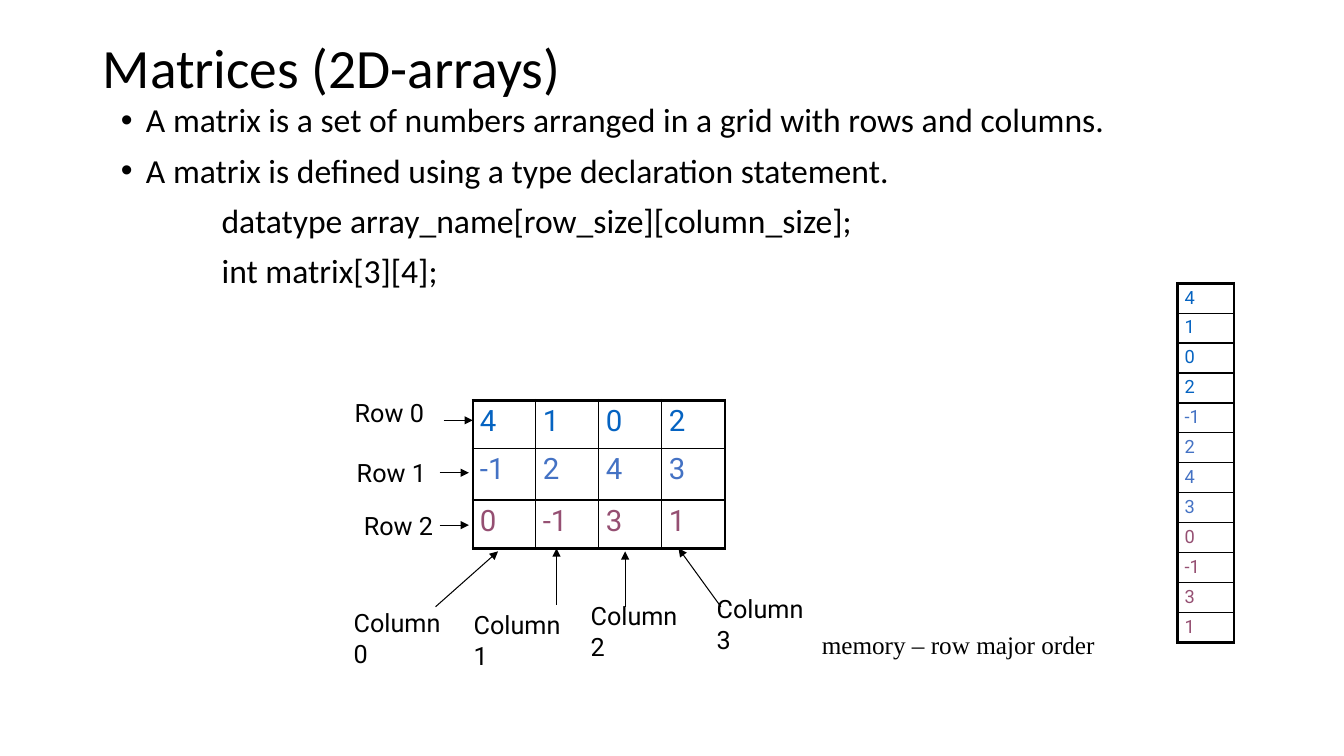
from lxml import etree
from pptx import Presentation
from pptx.dml.color import RGBColor
from pptx.enum import shapes, text
from pptx.oxml import ns
from pptx.util import Inches, Pt

THEME = {
    "black": "000000",
    "rows": ["0563C1", "4472C4", "954F72"],
    "body_font": "Calibri", "label_font": "Roboto", "caption_font": "Times New Roman",
    "title": 39.6, "body": 24, "label": 18, "matrix": 21, "memory": 13,
    "thin": 1, "thick": 2.25, "arrow": 0.75,
}

TITLE = "Matrices (2D-arrays)"
BULLETS = [
    "A matrix is a set of numbers arranged in a grid with rows and columns.",
    "A matrix is defined using a type declaration statement.",
]
CODE = ["datatype array_name[row_size][column_size];", "int matrix[3][4];"]
CAPTION = " memory – row major order"
MATRIX = [[4, 1, 0, 2], [-1, 2, 4, 3], [0, -1, 3, 1]]

ROW_LABELS = [(3.42, 3.89, 0.9), (3.44, 4.49, 0.9), (3.51, 5.01, 0.9)]
COLUMN_LABELS = [(3.41, 5.98, 1.2), (4.6, 6, 1.2), (5.76, 5.91, 1.2), (7.01, 5.84, 1.2)]
LABEL_HEIGHT = 0.4
ROW_ARROWS = [(4.4, 4.17), (4.36, 4.69), (4.36, 5.21)]
ROW_ARROW_LENGTH = 0.29
COLUMN_ARROWS = [
    ((4.32, 6.02), (4.94, 5.47)),
    ((5.52, 6), (5.52, 5.44)),
    ((6.2, 6.02), (6.2, 5.47)),
    ((7.15, 6.02), (6.73, 5.44)),
]


def style_font(paragraph, size, name, color=THEME["black"]):
    paragraph.font.size = Pt(size)
    paragraph.font.name = name
    paragraph.font.color.rgb = RGBColor.from_string(color)


def add_text(slide, box, lines, size, font, wrap=True):
    shape = slide.shapes.add_textbox(*map(Inches, box))
    frame = shape.text_frame
    frame.word_wrap = wrap
    frame.text = "\n".join(lines)
    for paragraph in frame.paragraphs:
        style_font(paragraph, size, font)
    return frame


def indent(paragraph, margin, first_line, bullet=None):
    properties = paragraph._p.get_or_add_pPr()
    properties.set("marL", str(Inches(margin)))
    properties.set("indent", str(Inches(first_line)))
    if bullet:
        etree.SubElement(properties, ns.qn("a:buFont")).set("typeface", "Arial")
        etree.SubElement(properties, ns.qn("a:buChar")).set("char", bullet)


def add_body(slide):
    frame = add_text(slide, (1.1, 0.98, 10.3, 5.72), BULLETS + CODE,
                     THEME["body"], THEME["body_font"])
    for index, paragraph in enumerate(frame.paragraphs):
        paragraph.line_spacing = 0.9
        paragraph.space_before = Pt(10)
        if index < len(BULLETS):
            indent(paragraph, 0.25, -0.25, "•")
        else:
            paragraph.level = 1
            indent(paragraph, 1, 0)


def add_arrow(slide, start, end):
    arrow = slide.shapes.add_connector(
        shapes.MSO_CONNECTOR.STRAIGHT, *map(Inches, start + end))
    arrow.line.color.rgb = RGBColor.from_string(THEME["black"])
    arrow.line.width = Pt(THEME["arrow"])
    etree.SubElement(arrow.line._get_or_add_ln(), ns.qn("a:tailEnd")).set("type", "triangle")
    etree.SubElement(arrow._element.spPr, ns.qn("a:effectLst"))


def set_borders(cell, outer_sides):
    """Draw thick lines on the outer sides and thin ones on the rest."""
    properties = cell._tc.get_or_add_tcPr()
    for position, side in enumerate("LRTB"):
        width = THEME["thick" if side in outer_sides else "thin"]
        line = etree.Element(ns.qn(f"a:ln{side}"), w=str(Pt(width)))
        fill = etree.SubElement(line, ns.qn("a:solidFill"))
        etree.SubElement(fill, ns.qn("a:srgbClr")).set("val", THEME["black"])
        properties.insert(position, line)


def add_grid(slide, box, values, row_heights, row_colors, size):
    row_count, column_count = len(values), len(values[0])
    table = slide.shapes.add_table(row_count, column_count, *map(Inches, box)).table
    table.first_row = table.horz_banding = False
    for row, height in zip(table.rows, row_heights):
        row.height = Inches(height)
    for r, row_values in enumerate(values):
        for c, value in enumerate(row_values):
            cell = table.cell(r, c)
            cell.text = str(value)
            cell.margin_left = cell.margin_right = Inches(0.07)
            cell.margin_top = cell.margin_bottom = Inches(0.04)
            cell.fill.background()
            style_font(cell.text_frame.paragraphs[0], size, THEME["label_font"], row_colors[r])
            edges = {"L": c == 0, "R": c == column_count - 1,
                     "T": r == 0, "B": r == row_count - 1}
            set_borders(cell, [side for side, outer in edges.items() if outer])


def add_labels(slide, word, places, wrap):
    for index, (left, top, width) in enumerate(places):
        add_text(slide, (left, top, width, LABEL_HEIGHT), [f"{word} {index}"],
                 THEME["label"], THEME["label_font"], wrap)


def main():
    presentation = Presentation()
    presentation.slide_width, presentation.slide_height = Inches(13.33), Inches(7.5)
    slide = presentation.slides.add_slide(presentation.slide_layouts[6])

    title = add_text(slide, (0.92, 0.4, 11.5, 0.59), [TITLE], THEME["title"], THEME["body_font"])
    title.vertical_anchor = text.MSO_ANCHOR.MIDDLE
    title.paragraphs[0].line_spacing = 0.9
    add_body(slide)
    add_text(slide, (7.99, 6.19, 3.13, LABEL_HEIGHT), [CAPTION],
             THEME["label"], THEME["caption_font"])
    add_labels(slide, "Column", COLUMN_LABELS, wrap=True)
    add_labels(slide, "Row", ROW_LABELS, wrap=False)

    memory = [[value] for row in MATRIX for value in row]
    memory_colors = [color for color, row in zip(THEME["rows"], MATRIX) for _ in row]
    memory_height = 3.5
    add_grid(slide, (11.68, 2.81, 0.56, memory_height), memory,
             [memory_height / len(memory)] * len(memory), memory_colors, THEME["memory"])
    add_grid(slide, (4.69, 3.97, 2.5, 1.47), MATRIX, [0.48, 0.51, 0.48],
             THEME["rows"], THEME["matrix"])

    for start, end in COLUMN_ARROWS:
        add_arrow(slide, start, end)
    for left, top in ROW_ARROWS:
        add_arrow(slide, (left, top), (left + ROW_ARROW_LENGTH, top))

    presentation.save("out.pptx")


if __name__ == "__main__":
    main()
